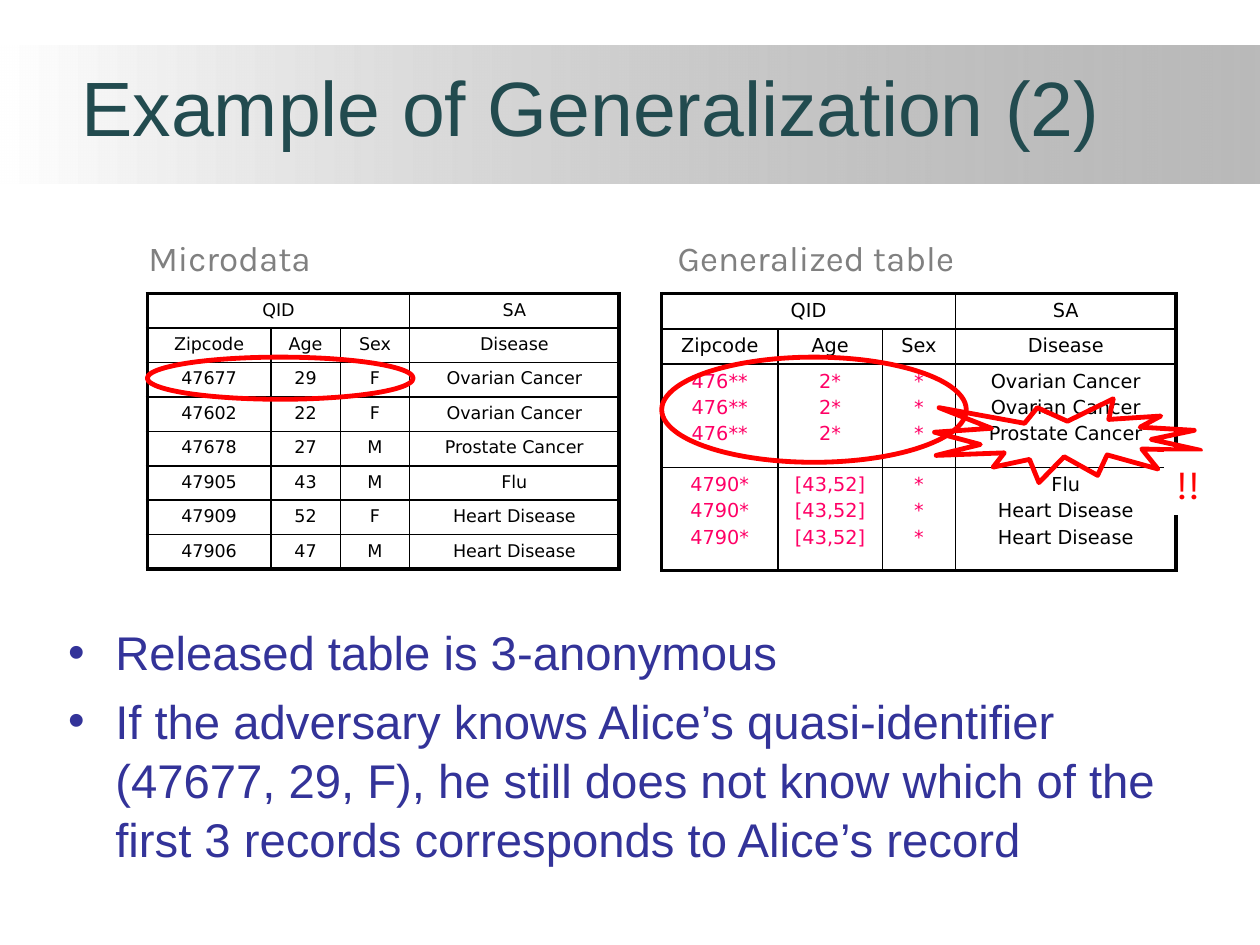
from lxml.etree import SubElement as Sub
from pptx import Presentation
from pptx.dml.color import RGBColor
from pptx.enum.shapes import MSO_SHAPE as Kind
from pptx.enum.text import MSO_ANCHOR as Anchor, MSO_AUTO_SIZE as Fit, PP_ALIGN as Align
from pptx.oxml.ns import qn
from pptx.util import Cm, Pt

BLACK = RGBColor(0x00, 0x00, 0x00)
WHITE = RGBColor(0xFF, 0xFF, 0xFF)
GRAY = RGBColor(0x80, 0x80, 0x80)
RED = RGBColor(0xFF, 0x00, 0x00)
PINK = RGBColor(0xFF, 0x00, 0x66)
TEAL = RGBColor(0x22, 0x4B, 0x4F)
BLUE = RGBColor(0x33, 0x33, 0x99)


def style(frame, font, size, color, align=Align.LEFT, gap=0):
    for i, para in enumerate(frame.paragraphs):
        para.alignment = align
        para.space_before = Pt(gap if i else 0)
        for run in para.runs:
            run.font.name = font
            run.font.size = Pt(size)
            run.font.color.rgb = color


def edge(cell, side, width):
    line = Sub(cell._tc.get_or_add_tcPr(), qn("a:ln" + side), w=str(Pt(width)))
    fill = Sub(line, qn("a:solidFill"))
    Sub(fill, qn("a:srgbClr"), val=str(BLACK))


prs = Presentation()
prs.slide_width, prs.slide_height = Cm(25.4), Cm(19.05)
slide = prs.slides.add_slide(prs.slide_layouts[1])
shapes = slide.shapes
title, body = slide.placeholders

band = shapes.add_shape(Kind.RECTANGLE, Cm(0), Cm(0.91), Cm(25.4), Cm(2.79))
band.shadow.inherit = False
band.line.fill.background()
band.fill.gradient()
band.fill.gradient_angle = 0
for stop, color, place in zip(band.fill.gradient_stops, (WHITE, GRAY), (0, 1)):
    stop.color.rgb = color
    stop.position = place
tint = band._element.findall(".//" + qn("a:srgbClr"))[-1]
Sub(tint, qn("a:alpha"), val="54000")

head = [["QID", "", "", "SA"], ["Zipcode", "Age", "Sex", "Disease"]]
micro = [
    ["47677", "29", "F", "Ovarian Cancer"],
    ["47602", "22", "F", "Ovarian Cancer"],
    ["47678", "27", "M", "Prostate Cancer"],
    ["47905", "43", "M", "Flu"],
    ["47909", "52", "F", "Heart Disease"],
    ["47906", "47", "M", "Heart Disease"],
]
groups = []
for part, keys in ((micro[:3], ("476**", "2*", "*")), (micro[3:], ("4790*", "[43,52]", "*"))):
    ills = "\n".join(row[3] for row in part)
    groups.append(["\n".join([key] * 3) for key in keys] + [ills])

unit = Cm(5.56) // 8
tables = [
    (2.97, (2.49, 1.4, 1.4, 4.22), head + micro, 1, 10, BLACK),
    (13.34, (2.34, 2.11, 1.47, 4.45), head + groups, 3, 11, PINK),
]
for left, widths, rows, span, size, hue in tables:
    last = len(rows) - 1
    table = shapes.add_table(len(rows), 4, Cm(left), Cm(5.92), Cm(sum(widths)), unit * 8).table
    table.first_row = table.horz_banding = False
    for col, width in zip(table.columns, widths):
        col.width = Cm(width)
    for r, row in enumerate(rows):
        table.rows[r].height = unit * (span if r > 1 else 1)
        for c, text in enumerate(row):
            cell = table.cell(r, c)
            cell.text_frame.text = text
            color = hue if r > 1 and c < 3 else BLACK
            style(cell.text_frame, "DejaVu Sans", size, color, Align.CENTER, 2.2)
            for side, outer in (("L", c == 0), ("R", c == 3), ("T", r == 0), ("B", r == last)):
                edge(cell, side, 2.25 if outer else 1)
            cell.fill.background()
    table.cell(0, 0).merge(table.cell(0, 2))

for left, width, text in ((2.74, 7.19, "Microdata"), (13.41, 8.89, "Generalized table")):
    label = shapes.add_textbox(Cm(left), Cm(4.65), Cm(width), Cm(1.07)).text_frame
    label.word_wrap = True
    label.text = text
    style(label, "Karla", 20, GRAY)
    props = label.paragraphs[0]._p.get_or_add_pPr()
    props.set("marL", str(Cm(1.3)))
    props.set("indent", str(-Cm(1.3)))

title.left, title.top, title.width, title.height = Cm(1.12), Cm(0.64), Cm(21.59), Cm(2.54)
frame = title.text_frame
frame.text = "Example of Generalization (2)"
frame.vertical_anchor = Anchor.BOTTOM
frame.auto_size = Fit.NONE
style(frame, "Arial", 44, TEAL, Align.CENTER)

body.left, body.top, body.width, body.height = Cm(1.12), Cm(12.4), Cm(22.71), Cm(5.61)
frame = body.text_frame
frame.text = (
    "Released table is 3-anonymous\n"
    "If the adversary knows Alice’s quasi-identifier (47677, 29, F), he still does not "
    "know which of the first 3 records corresponds to Alice’s record"
)
frame.auto_size = Fit.NONE
style(frame, "Arial", 27, BLUE, gap=5.4)
for para in frame.paragraphs:
    para.line_spacing = 1.04
    props = para._p.get_or_add_pPr()
    props.set("marL", str(Cm(0.95)))
    props.set("indent", str(-Cm(0.95)))
    Sub(Sub(props, qn("a:buClr")), qn("a:srgbClr"), val=str(BLUE))
    Sub(props, qn("a:buChar"), char="•")

tree = shapes._spTree
tree.insert(2, band._element)
tree.append(title._element)
tree.append(body._element)

marks = [
    (Kind.OVAL, 2.97, 7.2, 5.36, 0.85),
    (Kind.OVAL, 13.34, 7.2, 6.14, 2.12),
    (Kind.EXPLOSION1, 18.84, 8.04, 5.36, 1.69),
]
for kind, *box in marks:
    mark = shapes.add_shape(kind, *map(Cm, box))
    mark.shadow.inherit = False
    mark.fill.background()
    mark.line.color.rgb = RED
    mark.line.width = Pt(2.75)

alert = shapes.add_textbox(Cm(23.47), Cm(9.1), Cm(1.09), Cm(1.28))
alert.fill.solid()
alert.fill.fore_color.rgb = WHITE
frame = alert.text_frame
frame.word_wrap = True
frame.auto_size = Fit.SHAPE_TO_FIT_TEXT
frame.text = "!!"
style(frame, "Karla", 24, RED)

prs.save("out.pptx")
